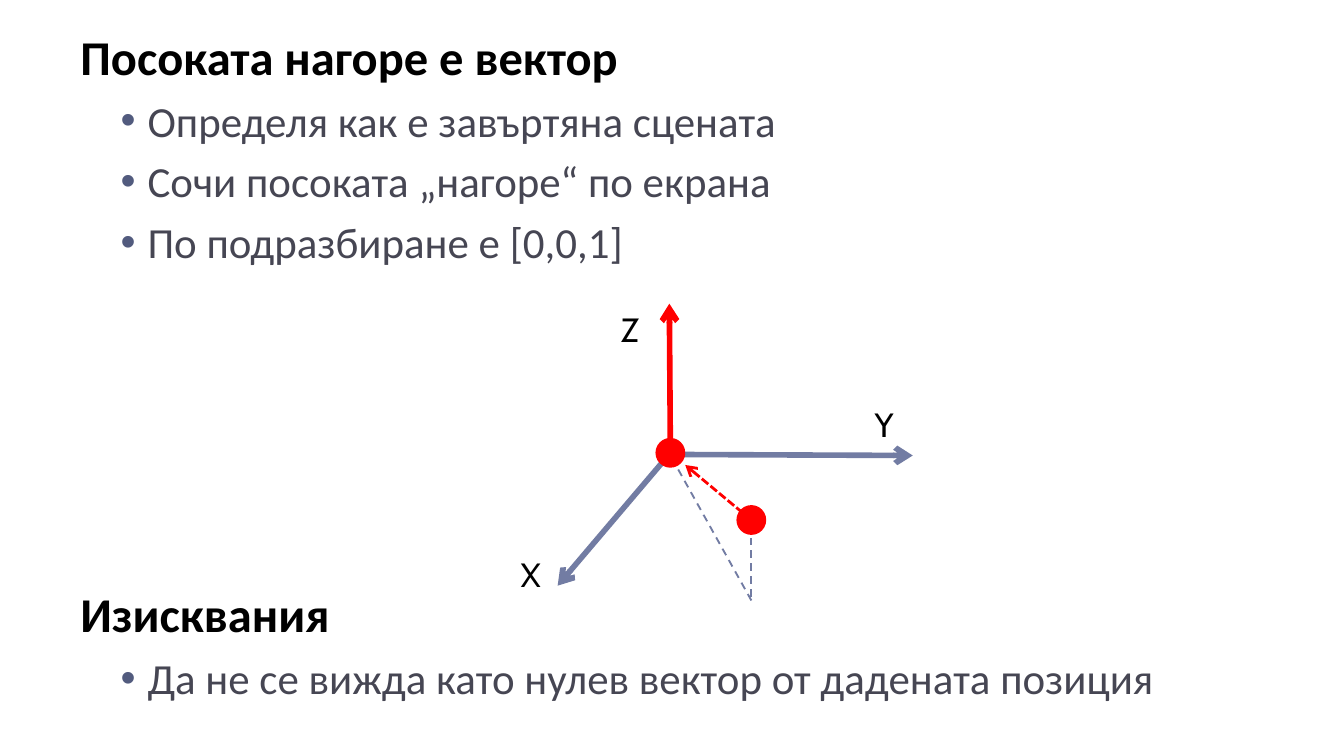
from dataclasses import dataclass

from lxml.etree import SubElement
from pptx import Presentation
from pptx.dml.color import RGBColor
from pptx.enum.dml import MSO_LINE
from pptx.enum.shapes import MSO_CONNECTOR, MSO_SHAPE
from pptx.enum.text import MSO_ANCHOR, PP_ALIGN
from pptx.oxml.ns import qn
from pptx.util import Cm, Pt


@dataclass(frozen=True)
class Theme:
    black: str = "000000"
    gray: str = "464653"
    mark: str = "525B7E"
    blue: str = "727CA3"
    red: str = "FF0000"
    font: str = "Calibri"
    sign: str = "Cabin"
    head: int = 26
    body: int = 23
    small: int = 18


def write(par, text, size, color, font, bold=False, before=0, align=None):
    run = par.add_run()
    run.text = text
    run.font.size = Pt(size)
    run.font.name = font
    run.font.bold = bold
    run.font.color.rgb = RGBColor.from_string(color)
    par.space_before = Pt(before)
    par.alignment = align


class Board:
    def __init__(self, slide, theme):
        self.shapes = slide.shapes
        self.theme = theme

    def box(self, left, top, width, height):
        frame = self.shapes.add_textbox(Cm(left), Cm(top), Cm(width), Cm(height)).text_frame
        frame.word_wrap = True
        return frame

    def bullet(self, par):
        props = par._p.get_or_add_pPr()
        props.set("marL", str(Cm(1.27)))
        props.set("indent", str(Cm(-0.51)))
        tint = SubElement(props, qn("a:buClr"))
        SubElement(tint, qn("a:srgbClr"), val=self.theme.mark)
        SubElement(props, qn("a:buFont"), typeface="Arial")
        SubElement(props, qn("a:buChar"), char="•")

    def text(self, place, parts):
        """Each part is a heading, the space above it and its bullet points."""
        look = self.theme
        frame = self.box(*place)
        par = frame.paragraphs[0]
        for title, gap, points in parts:
            if par.runs:
                par = frame.add_paragraph()
            write(par, title, look.head, look.black, look.font, bold=True, before=gap)
            for point in points:
                par = frame.add_paragraph()
                write(par, point, look.body, look.gray, look.font, before=5)
                self.bullet(par)

    def label(self, text, x, y, side=1.02):
        look = self.theme
        frame = self.box(x - side / 2, y - side / 2, side, side)
        frame.vertical_anchor = MSO_ANCHOR.MIDDLE
        write(frame.paragraphs[0], text, look.small, look.black, look.sign,
              align=PP_ALIGN.CENTER)

    def line(self, start, end, color, width, dash=None, arrow=False):
        ends = [Cm(n) for n in (*start, *end)]
        item = self.shapes.add_connector(MSO_CONNECTOR.STRAIGHT, *ends)
        item.line.color.rgb = RGBColor.from_string(color)
        item.line.width = Pt(width)
        if dash:
            item.line.dash_style = dash
        if arrow:
            SubElement(item.line._get_or_add_ln(), qn("a:tailEnd"), type="arrow")
        SubElement(item._element.spPr, qn("a:effectLst"))

    def dot(self, x, y, size=0.51):
        item = self.shapes.add_shape(MSO_SHAPE.OVAL, Cm(x - size / 2), Cm(y - size / 2),
                                     Cm(size), Cm(size))
        item.shadow.inherit = False
        red = RGBColor.from_string(self.theme.red)
        item.fill.solid()
        item.fill.fore_color.rgb = red
        item.line.color.rgb = red
        item.line.width = Pt(1.5)


def main():
    deck = Presentation()
    deck.slide_width, deck.slide_height = Cm(25.4), Cm(14.29)
    theme = Theme()
    board = Board(deck.slides.add_slide(deck.slide_layouts[6]), theme)

    # Text, with room for the drawing above the second heading
    board.text((1.27, 0.38, 23.7, 13.77), [
        ("Посоката нагоре е вектор", 6, [
            "Определя как е завъртяна сцената",
            "Сочи посоката „нагоре“ по екрана",
            "По подразбиране е [0,0,1]",
        ]),
        ("Изисквания", 170, ["Да не се вижда като нулев вектор от дадената позиция"]),
    ])

    # Axes and their names
    origin, eye = (12.67, 8.56), (14.2, 9.83)
    board.label("Y", 16.71, 8.02)
    board.label("Z", 11.91, 6.22)
    board.label("X", 10.03, 10.85)
    board.line((12.67, 8.61), (12.65, 5.74), theme.red, 3, arrow=True)
    board.line((12.65, 8.59), (17.25, 8.61), theme.blue, 3, arrow=True)
    board.line(origin, (10.54, 11.07), theme.blue, 3, arrow=True)

    # Eye point, its ground lines and its view of the origin
    board.line((14.2, 11.35), (12.67, 8.61), theme.blue, 1, MSO_LINE.DASH)
    board.line((14.2, 11.28), eye, theme.blue, 1, MSO_LINE.DASH)
    board.dot(*eye)
    board.dot(*origin)
    board.line(eye, (12.95, 8.79), theme.red, 1.5, MSO_LINE.SQUARE_DOT, arrow=True)

    deck.save("out.pptx")


if __name__ == "__main__":
    main()
